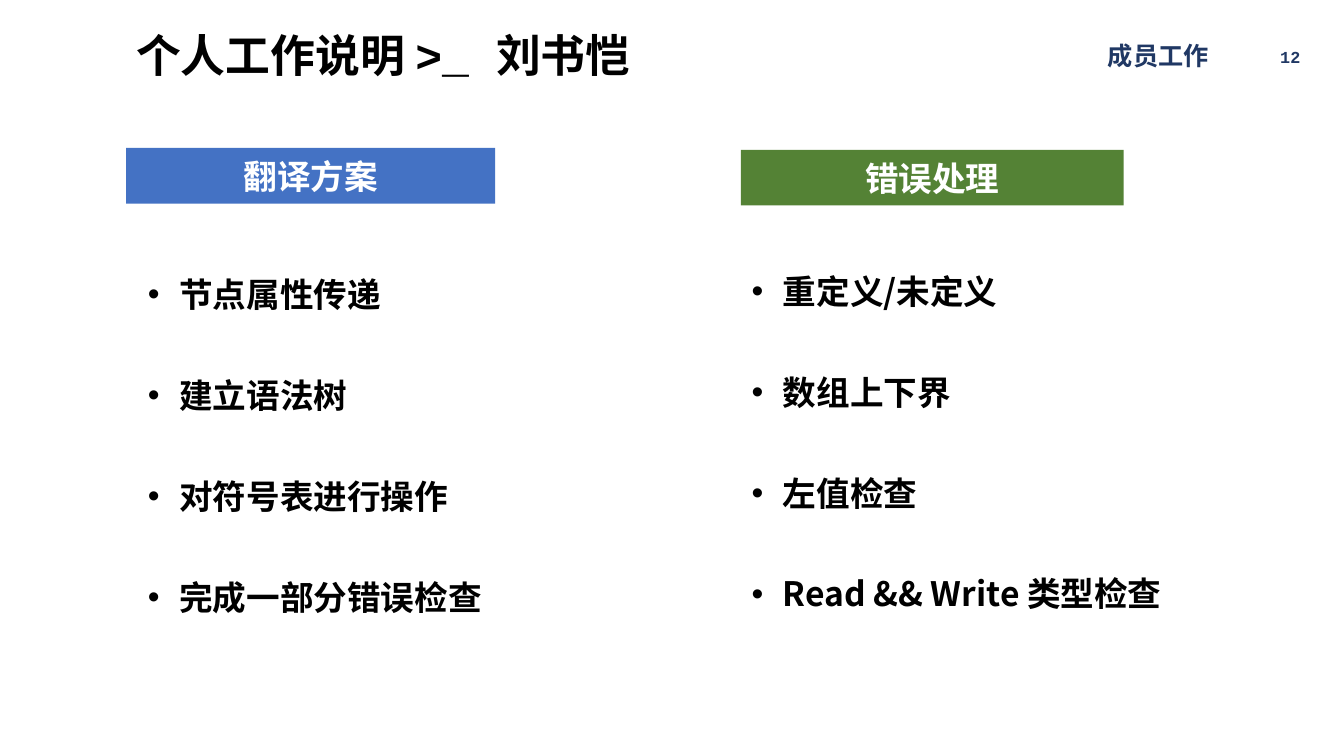
from lxml.etree import SubElement
from pptx import Presentation
from pptx.dml.color import RGBColor
from pptx.enum.shapes import MSO_SHAPE as Shape
from pptx.enum.text import MSO_ANCHOR as Anchor, PP_ALIGN as Align
from pptx.oxml.ns import qn
from pptx.util import Cm, Pt

SANS = "Noto Sans CJK SC"
MONO = "Courier New"
BLACK, WHITE, NAVY, BLUE, GREEN = "000000", "FFFFFF", "203864", "4472C4", "548235"


def color(value):
    return RGBColor.from_string(value)


class SlideBuilder:
    """Holds the text style and the page being filled."""

    def __init__(self, page):
        self.page = page
        self.style = {"name": SANS, "bold": True}

    def add_text(self, para, text, size, ink, **changes):
        span = para.add_run()
        span.text = text
        for key, value in {**self.style, "size": Pt(size), **changes}.items():
            setattr(span.font, key, value)
        span.font.color.rgb = color(ink)
        SubElement(span.font._element, qn("a:ea"), typeface=SANS)

    def label(self, place, text, size, ink, align=Align.LEFT, spacing=1.0, **changes):
        box = self.page.shapes.add_textbox(*map(Cm, place))
        frame = box.text_frame
        frame.word_wrap = True
        frame.vertical_anchor = Anchor.MIDDLE
        para = frame.paragraphs[0]
        para.alignment = align
        para.line_spacing = spacing
        self.add_text(para, text, size, ink, **changes)

    def banner(self, place, text, fill):
        bar = self.page.shapes.add_shape(Shape.RECTANGLE, *map(Cm, place))
        bar.shadow.inherit = False
        bar.fill.solid()
        bar.fill.fore_color.rgb = color(fill)
        bar.line.fill.background()
        bar.text_frame.vertical_anchor = Anchor.MIDDLE
        para = bar.text_frame.paragraphs[0]
        para.alignment = Align.CENTER
        self.add_text(para, text, 24, WHITE)

    def bullets(self, place, items):
        box = self.page.shapes.add_textbox(*map(Cm, place))
        frame = box.text_frame
        frame.word_wrap = True
        for index, item in enumerate(items):
            para = frame.add_paragraph() if index else frame.paragraphs[0]
            para.line_spacing = 2.5
            props = para._p.get_or_add_pPr()
            props.set("marL", str(Cm(2.06)))
            props.set("indent", str(Cm(-0.79)))
            SubElement(props, qn("a:buFont"), typeface="Arial")
            SubElement(props, qn("a:buChar"), char="•")
            self.add_text(para, item, 24, BLACK)


def main():
    deck = Presentation()
    deck.slide_width, deck.slide_height = Cm(33.87), Cm(19.05)
    builder = SlideBuilder(deck.slides.add_slide(deck.slide_layouts[6]))

    # Header: title, section name and page number
    builder.label((3.18, 0.91, 14.99, 1.12), "个人工作说明 >_ 刘书恺", 32, BLACK,
                  spacing=0.9, name=MONO)
    builder.label((24.77, 0.84, 5.94, 1.09), "成员工作", 18, NAVY, Align.RIGHT)
    builder.label((31.55, 0.91, 1.47, 1.02), "12", 12, NAVY, Align.RIGHT, name=MONO)

    # Two columns: banner above its list
    columns = [
        ((3.18, 3.73, 9.3, 1.4), "翻译方案", BLUE, (2.21, 5.26, 16.94, 10.11),
         ["节点属性传递", "建立语法树", "对符号表进行操作", "完成一部分错误检查"]),
        ((18.67, 3.78, 9.65, 1.4), "错误处理", GREEN, (17.42, 5.18, 16.4, 10.11),
         ["重定义/未定义", "数组上下界", "左值检查", "Read && Write 类型检查"]),
    ]
    for bar_place, heading, fill, list_place, items in columns:
        builder.banner(bar_place, heading, fill)
        builder.bullets(list_place, items)

    deck.save("out.pptx")


if __name__ == "__main__":
    main()
